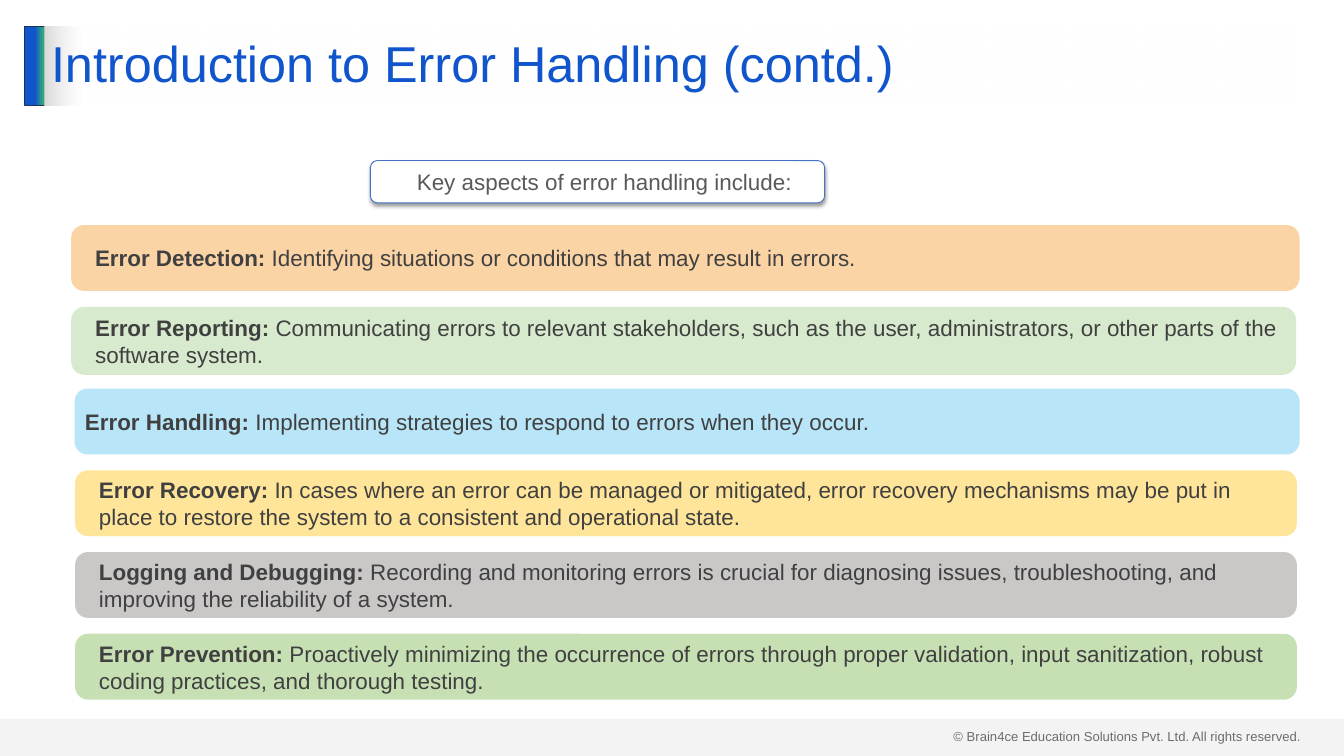
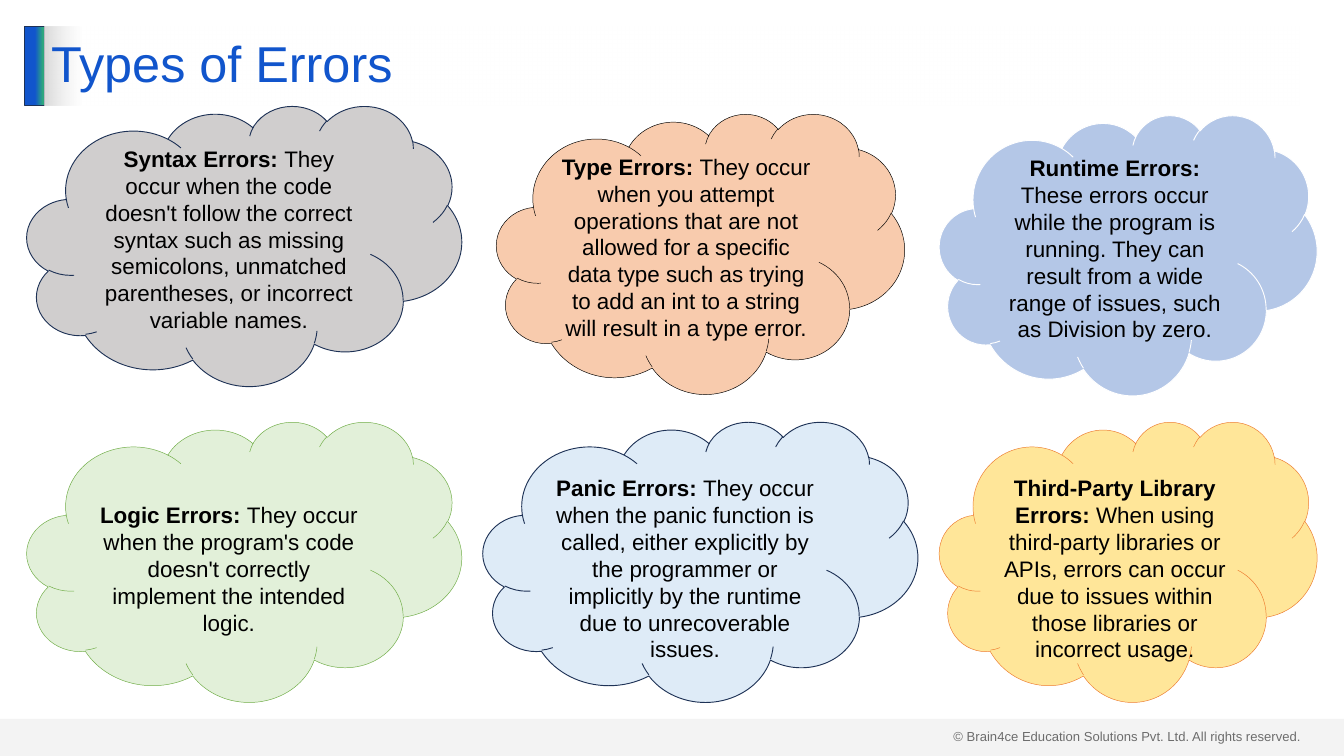
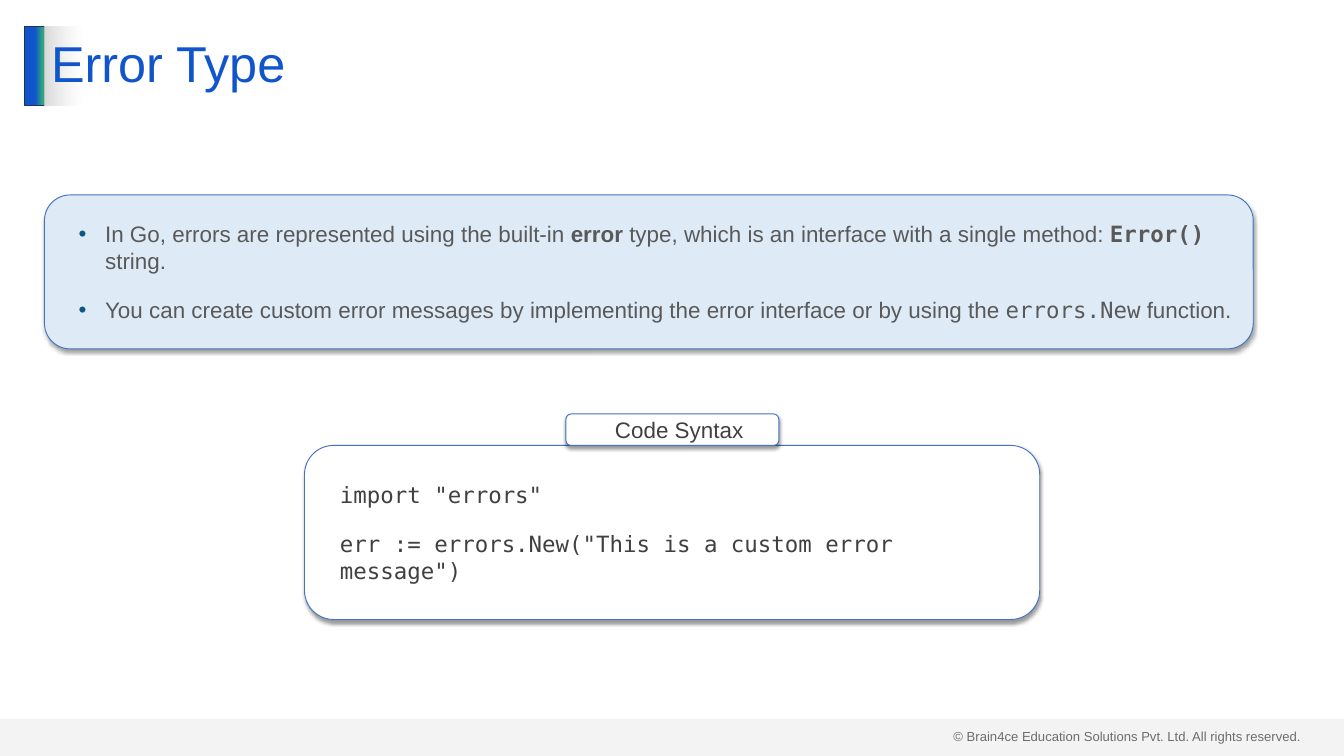
from dataclasses import dataclass
from typing import Any, NamedTuple, Optional

from lxml import etree
from pptx import Presentation
from pptx import util as u
from pptx.dml import color
from pptx.enum import shapes, text
from pptx.oxml import ns

COLOURS = {
    "blue": "1155CC", "teal": "2EA87D", "navy": "1E3256", "outline": "4472C4",
    "bullet": "095A82", "band": "D9D9D9", "dark": "404040", "mid": "595959",
    "black": "000000", "white": "FFFFFF", "pale blue": "DEEBF7",
    "orange": "FABE79", "leaf": "C5E0B4", "sky": "94DAF5", "gold": "FFD966",
    "grey": "AFABAB", "green": "A9D18E", "silver": "D0CECE", "mint": "E2F0D9",
    "mint line": "70AD47", "peach": "F8CBAD", "periwinkle": "B4C7E7",
    "cream": "FFE699", "cream line": "ED7D31",
}
SANS, MONO = "Arial", "DejaVu Sans Mono"
SLIDE_WIDTH, SLIDE_HEIGHT = 50.8, 28.58
LINE_HEIGHT = 1.02
RECT = shapes.MSO_SHAPE.RECTANGLE
ROUNDED = shapes.MSO_SHAPE.ROUNDED_RECTANGLE
CLOUD = shapes.MSO_SHAPE.CLOUD
LEFT, CENTER = text.PP_ALIGN.LEFT, text.PP_ALIGN.CENTER


# Building blocks: places and widths in centimetres
class Place(NamedTuple):
    left: float
    top: float
    width: float
    height: float


class Stop(NamedTuple):
    position: int
    colour: str
    alpha: int = 100


class Span(NamedTuple):
    words: str
    bold: bool = False
    font: str = SANS


class Para(NamedTuple):
    spans: list[Span]
    indent: float = 0
    align: Any = LEFT
    bullet: bool = False
    spacing: Optional[float] = None


@dataclass
class Box:
    place: Place
    kind: Any = ROUNDED
    fill: str = "white"
    alpha: int = 100
    stops: tuple[Stop, ...] = ()
    line: Optional[str] = None
    line_width: float = 1
    corner: Optional[float] = None
    shadow: bool = False
    paras: tuple[Para, ...] = ()
    colour: str = "dark"
    size: float = 24
    margins: tuple[float, float] = (0.25, 0.13)
    extra_top: float = 0


def rgb(name: str) -> color.RGBColor:
    return color.RGBColor.from_string(COLOURS[name])


def assign(target: Any, values: dict[str, Any]) -> None:
    for name, value in values.items():
        setattr(target, name, value)


def add_node(parent: Any, tag: str, **values: Any) -> Any:
    attributes = {name: str(value) for name, value in values.items()}
    return etree.SubElement(parent, ns.qn(tag), attributes)


def add_colour(parent: Any, name: str, alpha: int = 100) -> None:
    node = add_node(parent, "a:srgbClr", val=COLOURS[name])
    if alpha < 100:
        add_node(node, "a:alpha", val=alpha * 1000)


# Fills, outlines and shadows
def paint(shape: Any, box: Box) -> None:
    properties = shape.element.spPr
    if box.stops:
        shape.fill.gradient()
        shape.fill.gradient_angle = 0
        stop_list = properties.find(ns.qn("a:gradFill")).find(ns.qn("a:gsLst"))
        stop_list.clear()
        for stop in box.stops:
            node = add_node(stop_list, "a:gs", pos=stop.position * 1000)
            add_colour(node, stop.colour, stop.alpha)
    else:
        shape.fill.solid()
        shape.fill.fore_color.rgb = rgb(box.fill)
        if box.alpha < 100:
            solid = properties.find(ns.qn("a:solidFill"))
            add_node(solid[0], "a:alpha", val=box.alpha * 1000)
    if box.line:
        shape.line.color.rgb = rgb(box.line)
        shape.line.width = u.Pt(box.line_width)
    else:
        shape.line.fill.background()
    shape.shadow.inherit = False
    if box.shadow:
        effects = properties.find(ns.qn("a:effectLst"))
        outer = add_node(effects, "a:outerShdw", blurRad=u.Pt(4), dist=u.Pt(3),
                         dir=90 * 60000, algn="t", rotWithShape=0)
        add_colour(outer, "black", 40)


# Text
def write(frame: Any, paras: tuple[Para, ...], colour: str, size: float) -> None:
    for number, para in enumerate(paras):
        paragraph = frame.paragraphs[0] if number == 0 else frame.add_paragraph()
        properties = paragraph._p.get_or_add_pPr()
        properties.set("marL", str(u.Cm(para.indent)))
        properties.set("indent", str(u.Cm(-1 if para.bullet else 0)))
        if para.bullet:
            add_colour(add_node(properties, "a:buClr"), "bullet")
            add_node(properties, "a:buFont", typeface=SANS)
            add_node(properties, "a:buChar", char="•")
        assign(paragraph, {
            "alignment": para.align,
            "line_spacing": para.spacing,
            "space_before": u.Pt(12 if number else 0),
            "space_after": u.Pt(12 if number < len(paras) - 1 else 0),
        })
        for span in para.spans:
            run = paragraph.add_run()
            run.text = span.words
            assign(run.font, {"name": span.font, "size": u.Pt(size), "bold": span.bold})
            run.font.color.rgb = rgb(colour)


def draw(page: Any, box: Box) -> None:
    shape = page.shapes.add_shape(box.kind, *map(u.Cm, box.place))
    if box.corner is not None:
        shape.adjustments[0] = box.corner
    paint(shape, box)
    side, edge = box.margins
    assign(shape.text_frame, {
        "word_wrap": True,
        "vertical_anchor": text.MSO_ANCHOR.MIDDLE,
        "margin_left": u.Cm(side), "margin_right": u.Cm(side),
        "margin_top": u.Cm(edge + box.extra_top), "margin_bottom": u.Cm(edge),
    })
    write(shape.text_frame, box.paras, box.colour, box.size)


# Shared parts: footer, accent bar, band and title
def add_page(deck: Any, title: str) -> Any:
    page = deck.slides.add_slide(deck.slide_layouts[6])
    footer = page.shapes.add_textbox(*map(u.Cm, (35.79, 27.43, 13.74, 0.86)))
    footer.text_frame.word_wrap = True
    notice = "© Brain4ce Education Solutions Pvt. Ltd. All rights reserved."
    write(footer.text_frame, (Para([Span(notice)]),), "dark", 14)
    draw(page, Box(Place(0.94, 0.99, 0.76, 3), RECT, line="navy",
                   stops=(Stop(51, "blue"), Stop(90, "teal"), Stop(100, "teal"))))
    draw(page, Box(Place(0, 27.18, SLIDE_WIDTH, 1.4), RECT, "band", 29))
    draw(page, Box(Place(1.68, 0.99, 47.42, 3), RECT,
                   stops=(Stop(0, "band"), Stop(0, "band"), Stop(3, "white", 50)),
                   paras=(Para([Span(title)], spacing=0.9),), colour="blue", size=54))
    return page


def card(place: Place, paras: tuple[Para, ...], colour: str = "dark",
         fill: str = "white") -> Box:
    return Box(place, fill=fill, line="outline", shadow=True, paras=paras,
               colour=colour, margins=(0.51, 0.25))


def labelled(label: str, words: str, indent: float = 0, align: Any = LEFT) -> Para:
    return Para([Span(label + ": ", True), Span(words)], indent, align)


# Key aspects
class Aspect(NamedTuple):
    label: str
    words: str
    fill: str
    left: float = 2.84
    width: float = 46.18
    height: float = 2.49
    indent: float = 0.51


ASPECTS = [
    Aspect("Error Detection",
           "Identifying situations or conditions that may result in errors.",
           "orange", 2.69, 46.43),
    Aspect("Error Reporting",
           "Communicating errors to relevant stakeholders, such as the user, "
           "administrators, or other parts of the software system.",
           "leaf", 2.69, 46.3, 2.57),
    Aspect("Error Handling",
           "Implementing strategies to respond to errors when they occur.",
           "sky", 2.82, 46.3, indent=0),
    Aspect("Error Recovery",
           "In cases where an error can be managed or mitigated, error recovery mechanisms "
           "may be put in place to restore the system to a consistent and operational state.",
           "gold"),
    Aspect("Logging and Debugging",
           "Recording and monitoring errors is crucial for diagnosing issues, "
           "troubleshooting, and improving the reliability of a system.", "grey"),
    Aspect("Error Prevention",
           "Proactively minimizing the occurrence of errors through proper validation, "
           "input sanitization, robust coding practices, and thorough testing.", "green"),
]


def aspects_page(deck: Any) -> None:
    page = add_page(deck, "Introduction to Error Handling (contd.)")
    heading = Para([Span("Key aspects of error handling include:")], 0.51, CENTER)
    draw(page, card(Place(14, 6.07, 17.17, 1.6), (heading,), "mid"))
    for row, aspect in enumerate(ASPECTS):
        place = Place(aspect.left, 8.51 + row * 3.09, aspect.width, aspect.height)
        draw(page, Box(place, fill=aspect.fill, alpha=66, corner=0.195,
                       paras=(labelled(aspect.label, aspect.words, aspect.indent),)))


# Error types
class ErrorCloud(NamedTuple):
    label: str
    words: str
    left: float
    top: float
    width: float
    fill: str
    line: str
    line_width: float


LOWER_ROW = 15.93
CLOUDS = [
    ErrorCloud("Syntax Errors",
               "They occur when the code doesn't follow the correct syntax such as missing "
               "semicolons, unmatched parentheses, or incorrect variable names.",
               1.02, 3.99, 16.43, "silver", "navy", 1),
    ErrorCloud("Logic Errors",
               "They occur when the program's code doesn't correctly implement "
               "the intended logic.",
               1.02, LOWER_ROW, 16.43, "mint", "mint line", 0.5),
    ErrorCloud("Type Errors",
               "They occur when you attempt operations that are not allowed for a specific "
               "data type such as trying to add an int to a string will result in a type error.",
               18.77, 4.29, 15.42, "peach", "black", 0.5),
    ErrorCloud("Panic Errors",
               "They occur when the panic function is called, either explicitly by the "
               "programmer or implicitly by the runtime due to unrecoverable issues.",
               18.26, LOWER_ROW, 16.43, "pale blue", "navy", 1),
    ErrorCloud("Runtime Errors",
               "These errors occur while the program is running. They can result from a "
               "wide range of issues, such as Division by zero.",
               35.51, 4.34, 14.27, "periwinkle", "white", 1),
    ErrorCloud("Third-Party Library Errors",
               "When using third-party libraries or APIs, errors can occur due to issues "
               "within those libraries or incorrect usage.",
               35.51, LOWER_ROW, 14.27, "cream", "cream line", 0.5),
]


def types_page(deck: Any) -> None:
    page = add_page(deck, "Types of Errors")
    for cloud in CLOUDS:
        draw(page, Box(Place(cloud.left, cloud.top, cloud.width, 10.59), CLOUD, cloud.fill,
                       line=cloud.line, line_width=cloud.line_width, colour="black",
                       paras=(labelled(cloud.label, cloud.words, align=CENTER),),
                       extra_top=LINE_HEIGHT if cloud.top == LOWER_ROW else 0))


# Error type and code syntax
NOTES = (
    Para([Span("In Go, errors are represented using the built-in "), Span("error", True),
          Span(" type, which is an interface with a single method: "),
          Span("Error() ", True, MONO), Span("string.")], 1.5, bullet=True),
    Para([Span("You can create custom error messages by implementing the error interface "
               "or by using the "),
          Span("errors.New", font=MONO), Span(" function.")], 1.5, bullet=True),
)
CODE = ('import "errors"', 'err := errors.New("This is a custom error message")')


def syntax_page(deck: Any) -> None:
    page = add_page(deck, "Error Type")
    draw(page, card(Place(1.68, 7.37, 45.69, 5.82), NOTES, "mid", "pale blue"))
    code = tuple(Para([Span(line, font=MONO)], 0.51) for line in CODE)
    draw(page, card(Place(11.51, 16.84, 27.79, 6.58), code))
    caption = Para([Span("Code Syntax")], 0.51, CENTER)
    draw(page, card(Place(21.39, 15.65, 8.05, 1.19), (caption,)))


def main() -> None:
    deck = Presentation()
    assign(deck, {"slide_width": u.Cm(SLIDE_WIDTH), "slide_height": u.Cm(SLIDE_HEIGHT)})
    for build in (aspects_page, types_page, syntax_page):
        build(deck)
    deck.save("out.pptx")


if __name__ == "__main__":
    main()
